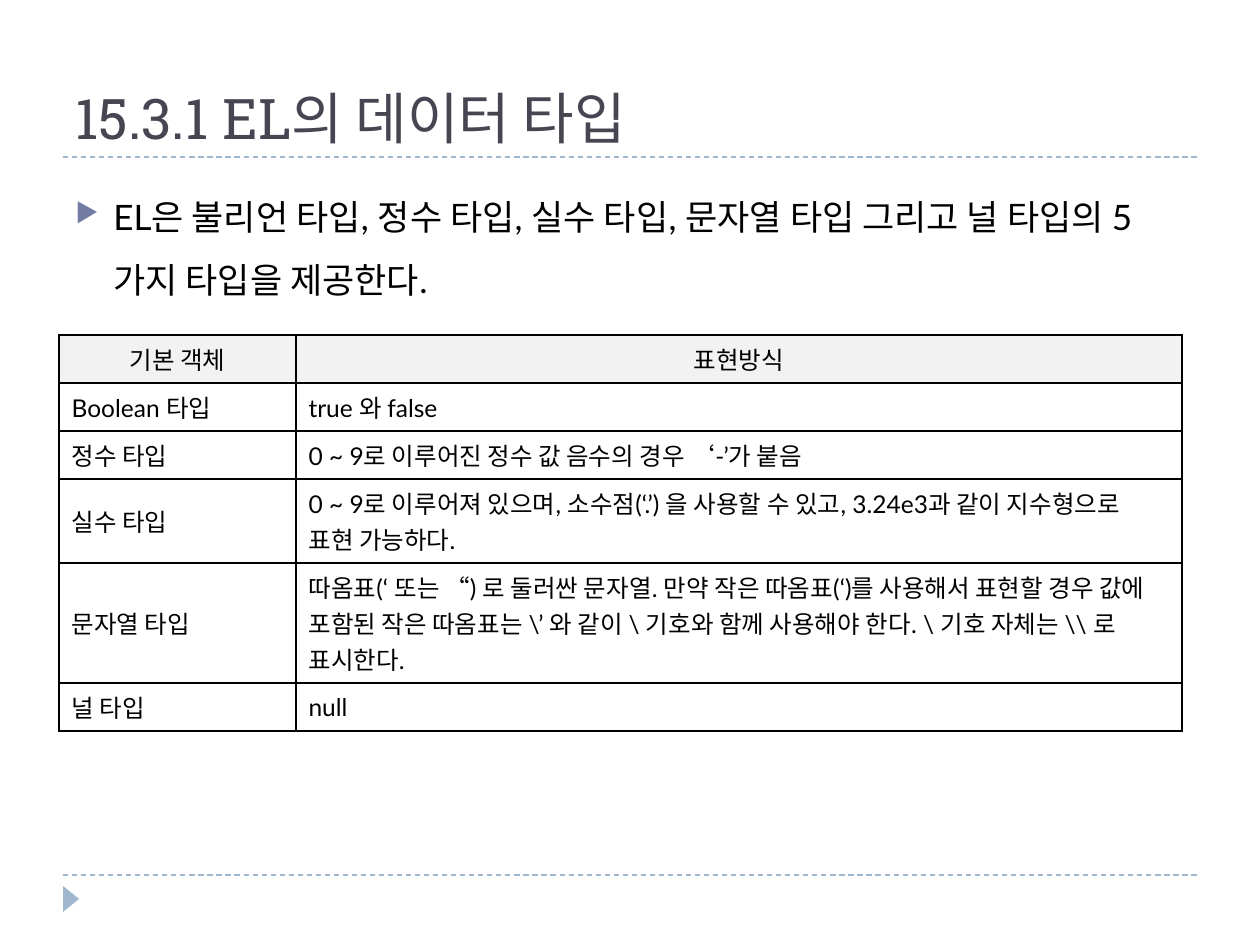
import pptx
import pptx.util
import pptx.dml.color
import pptx.enum.dml
import pptx.enum.shapes
import pptx.enum.text
import pptx.oxml
import pptx.oxml.ns

PX = 914400 // 126
COLORS = {"title": "464653", "text": "000000", "rule": "9FB8CD",
          "bullet": "727CA3", "header": "F2F2F2"}
HEAD_FONT, BODY_FONT = "Roboto Slab", "Lato"
ROWS = [
    ("기본 객체", "표현방식"),
    ("Boolean 타입", "true 와 false"),
    ("정수 타입", "0 ~ 9로 이루어진 정수 값 음수의 경우 ‘-’가 붙음"),
    ("실수 타입", "0 ~ 9로 이루어져 있으며, 소수점(‘.’) 을 사용할 수 있고, "
                "3.24e3과 같이 지수형으로 표현 가능하다."),
    ("문자열 타입", "따옴표(‘ 또는 “) 로 둘러싼 문자열. 만약 작은 따옴표(‘)를 "
                 "사용해서 표현할 경우 값에 포함된 작은 따옴표는 \\’ 와 같이 \\ "
                 "기호와 함께 사용해야 한다. \\ 기호 자체는 \\\\ 로 표시한다."),
    ("널 타입", "null"),
]


def emu(*pixels):
    """Turn pixel lengths into EMU."""
    return [pptx.util.Emu(n * PX) for n in pixels]


def rgb(name):
    """Look up a colour by name."""
    return pptx.dml.color.RGBColor.from_string(COLORS[name])


def add_xml(parent, xml):
    """Append a DrawingML element to a parent."""
    ns = pptx.oxml.ns.nsdecls("a")
    parent.append(pptx.oxml.parse_xml(xml.replace(">", f" {ns}>", 1) if "/>" not in xml.split(">")[0] + ">"
                                      else xml.replace("/>", f" {ns}/>", 1)))


def add_run(p, text, size, font, color):
    """Add one formatted run to a paragraph."""
    r = p.add_run()
    r.text = text
    r.font.size = pptx.util.Pt(size)
    r.font.name = font
    r.font.color.rgb = rgb(color)


def add_rule(slide, x, y, w):
    """Draw a dashed horizontal rule."""
    line = slide.shapes.add_connector(
        pptx.enum.shapes.MSO_CONNECTOR.STRAIGHT, *emu(x, y, x + w, y))
    line.line.color.rgb = rgb("rule")
    line.line.width = pptx.util.Pt(0.75)
    line.line.dash_style = pptx.enum.dml.MSO_LINE.DASH
    add_xml(line._element.spPr, "<a:effectLst/>")


def add_frame(slide, x, y, w, h):
    """Draw the header rule, the footer rule and the page marker."""
    add_rule(slide, x, y + h, w)
    add_rule(slide, x, y, w)
    sp = slide.shapes.add_shape(pptx.enum.shapes.MSO_SHAPE.ISOSCELES_TRIANGLE,
                                *emu(x - 5, y + h + 16, 26, 16))
    sp.rotation = 90
    sp.shadow.inherit = False
    sp.fill.solid()
    sp.fill.fore_color.rgb = rgb("rule")
    sp.line.fill.background()


def set_title(slide, text, x, y, w, h):
    """Place and format the title placeholder."""
    sp = slide.shapes.title
    sp.left, sp.top, sp.width, sp.height = emu(x, y, w, h)
    tf = sp.text_frame
    tf.auto_size = pptx.enum.text.MSO_AUTO_SIZE.NONE
    tf.vertical_anchor = pptx.enum.text.MSO_ANCHOR.BOTTOM
    p = tf.paragraphs[0]
    p.alignment = pptx.enum.text.PP_ALIGN.LEFT
    add_run(p, text, 32, HEAD_FONT, "title")


def add_body(slide, text, x, y, w, h):
    """Add the bulleted body text."""
    tf = slide.shapes.add_textbox(*emu(x, y, w, h)).text_frame
    tf.word_wrap = True
    p = tf.paragraphs[0]
    p.line_spacing = 1.5
    p.space_before = pptx.util.Pt(6)
    pPr = p._p.get_or_add_pPr()
    indent = emu(38)[0]
    pPr.set("marL", str(indent))
    pPr.set("indent", str(-indent))
    add_xml(pPr, f'<a:buClr><a:srgbClr val="{COLORS["bullet"]}"/></a:buClr>')
    add_xml(pPr, '<a:buSzPct val="76000"/>')
    add_xml(pPr, '<a:buChar char="▶"/>')
    add_run(p, text, 20, BODY_FONT, "text")


def format_cell(cell, text, header):
    """Fill, border and write one table cell."""
    tcPr = cell._tc.get_or_add_tcPr()
    for side in "LRTB":
        add_xml(tcPr, f'<a:ln{side} w="12700"><a:solidFill><a:srgbClr val="{COLORS["text"]}"/>'
                      f'</a:solidFill></a:ln{side}>')
    if header:
        cell.fill.solid()
        cell.fill.fore_color.rgb = rgb("header")
    else:
        cell.fill.background()
    cell.vertical_anchor = pptx.enum.text.MSO_ANCHOR.MIDDLE
    p = cell.text_frame.paragraphs[0]
    align = pptx.enum.text.PP_ALIGN
    p.alignment = align.CENTER if header else align.LEFT
    add_run(p, text, 14, BODY_FONT, "text")


def add_type_table(slide, rows, x, y, widths, heights):
    """Add the table of data types."""
    table = slide.shapes.add_table(len(rows), len(widths),
                                   *emu(x, y, sum(widths), sum(heights))).table
    for col, w in zip(table.columns, emu(*widths)):
        col.width = w
    for row, h in zip(table.rows, emu(*heights)):
        row.height = h
    for i, texts in enumerate(rows):
        for j, text in enumerate(texts):
            format_cell(table.cell(i, j), text, i == 0)


def build():
    """Build and save the slide."""
    prs = pptx.Presentation()
    prs.slide_width, prs.slide_height = emu(1260, 945)
    slide = prs.slides.add_slide(prs.slide_layouts[5])
    add_frame(slide, 63, 157, 1134, 718)
    set_title(slide, "15.3.1 EL의 데이터 타입", 63, 21, 1134, 136)
    add_body(slide, "EL은 불리언 타입, 정수 타입, 실수 타입, 문자열 타입 그리고 "
                    "널 타입의 5가지 타입을 제공한다.", 63, 168, 1134, 680)
    add_type_table(slide, ROWS, 59, 335, [237, 886], [48, 48, 48, 84, 120, 48])
    prs.save("out.pptx")


build()
